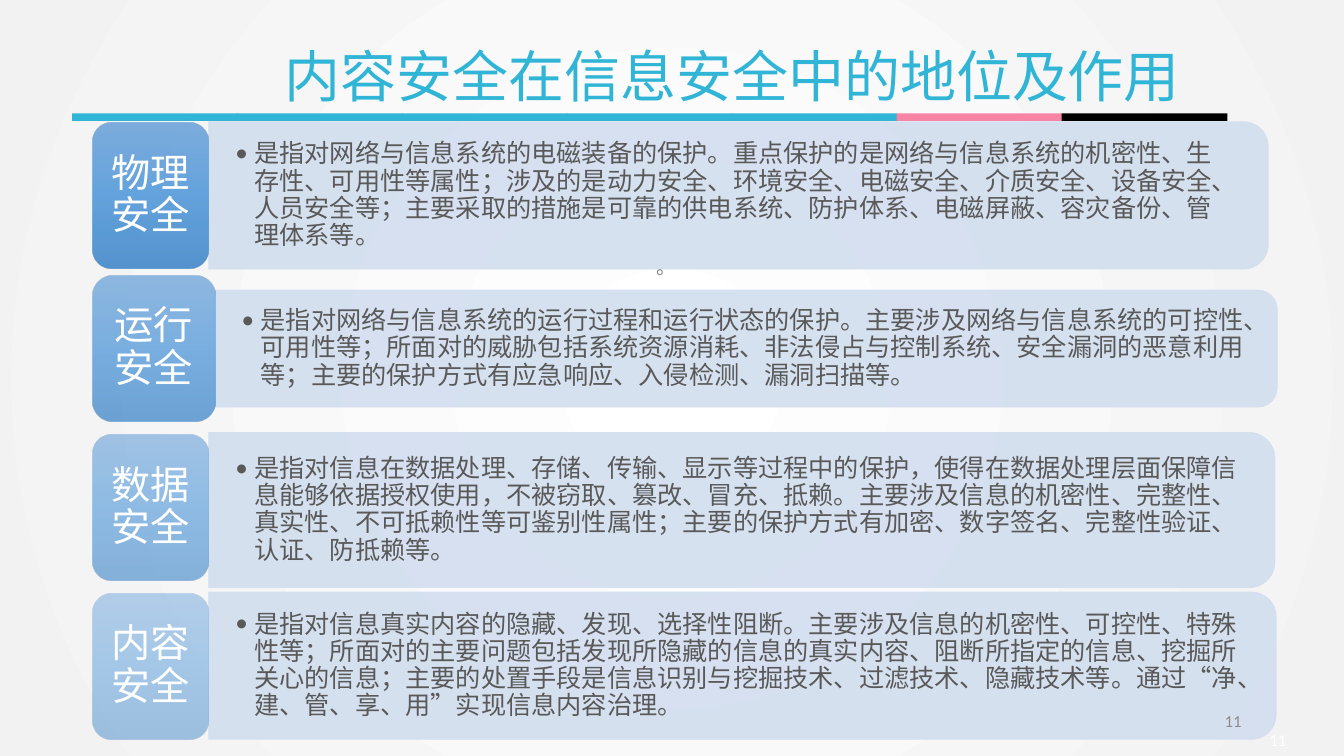
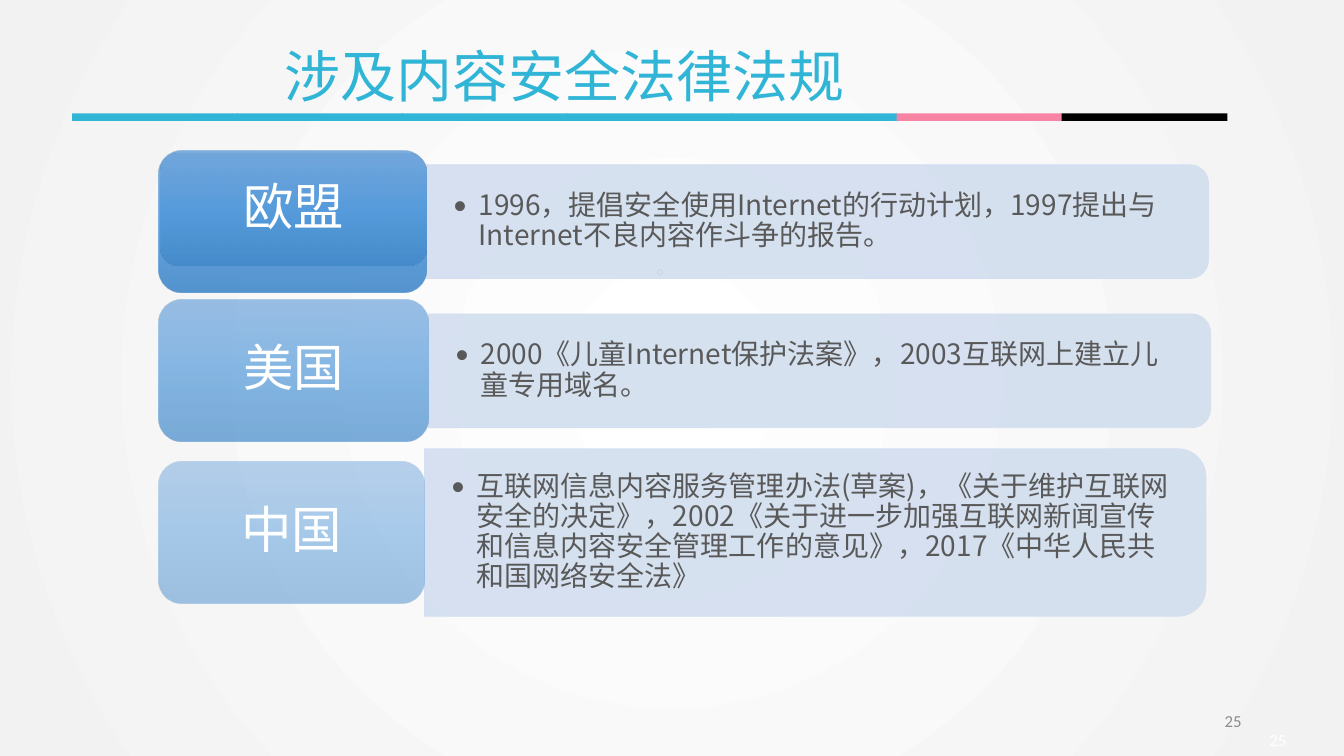
from lxml import etree
from pptx import Presentation
from pptx import oxml
from pptx.dml.color import RGBColor
from pptx.enum import shapes, text
from pptx.oxml import ns
from pptx.util import Cm, Pt

CJK_FONT, NUMBER_FONT = "Noto Sans CJK SC", "Calibri"
TEAL, PINK, BLACK, WHITE = "31B5D6", "F784A5", "000000", "FFFFFF"
PANEL, BODY_TEXT, NUMBER_TEXT = "D2DEEF", "595959", "8C8C8C"
NOTE_TEXT, FAINT_NOTE_TEXT = "7F7F7F", "CAD5E4"
LABEL_GRADIENT = ["71A6DB", "559BDB", "448ACA"]
BACKGROUND_GRADIENT = [WHITE, "F2F2F2"]
BAR_COLOURS = [TEAL] * 5 + [PINK, BLACK]

# Each row: label, label top and width, panel top, width and height (cm), text
SECURITY_ROWS = [
    ("物理安全", 3.09, 2.92, 3.07, 26.7, 3.71,
     "是指对网络与信息系统的电磁装备的保护。重点保护的是网络与信息系统的机密性、生存性、可用性等属性；"
     "涉及的是动力安全、环境安全、电磁安全、介质安全、设备安全、人员安全等；"
     "主要采取的措施是可靠的供电系统、防护体系、电磁屏蔽、容灾备份、管理体系等。"),
    ("运行安全", 6.94, 3.08, 7.31, 26.77, 2.95,
     "是指对网络与信息系统的运行过程和运行状态的保护。主要涉及网络与信息系统的可控性、可用性等；"
     "所面对的威胁包括系统资源消耗、非法侵占与控制系统、安全漏洞的恶意利用等；"
     "主要的保护方式有应急响应、入侵检测、漏洞扫描等。"),
    ("数据安全", 10.95, 2.92, 10.9, 26.87, 3.91,
     "是指对信息在数据处理、存储、传输、显示等过程中的保护，使得在数据处理层面保障信息能够依据授权使用，"
     "不被窃取、篡改、冒充、抵赖。主要涉及信息的机密性、完整性、真实性、不可抵赖性等可鉴别性属性；"
     "主要的保护方式有加密、数字签名、完整性验证、认证、防抵赖等。"),
    ("内容安全", 14.95, 2.92, 14.92, 26.9, 3.71,
     "是指对信息真实内容的隐藏、发现、选择性阻断。主要涉及信息的机密性、可控性、特殊性等；"
     "所面对的主要问题包括发现所隐藏的信息的真实内容、阻断所指定的信息、挖掘所关心的信息；"
     "主要的处置手段是信息识别与挖掘技术、过滤技术、隐藏技术等。"
     "通过“净、建、管、享、用”实现信息内容治理。"),
]
LAW_ROWS = [
    ("", 3.79, 6.76, 4.15, 19.71, 2.87,
     "1996，提倡安全使用Internet的行动计划，1997提出与Internet不良内容作斗争的报告。"),
    ("美国", 7.55, 6.81, 7.91, 19.71, 2.87,
     "2000《儿童Internet保护法案》，2003互联网上建立儿童专用域名。"),
    ("中国", 11.63, 6.71, 11.31, 19.69, 4.22,
     "互联网信息内容服务管理办法(草案)，《关于维护互联网安全的决定》，"
     "2002《关于进一步加强互联网新闻宣传和信息内容安全管理工作的意见》，"
     "2017《中华人民共和国网络安全法》"),
]


def colour(value):
    return RGBColor.from_string(value)


def gradient(colours, direction, alpha=100):
    """Return a gradFill element with evenly spaced stops."""
    last = len(colours) - 1
    stops = "".join(
        f'<a:gs pos="{100000 * index // last}"><a:srgbClr val="{value}">'
        f'<a:alpha val="{round(alpha * 1000)}"/></a:srgbClr></a:gs>'
        for index, value in enumerate(colours))
    return oxml.parse_xml(f'<a:gradFill {ns.nsdecls("a")} rotWithShape="1">'
                          f'<a:gsLst>{stops}</a:gsLst>{direction}</a:gradFill>')


def set_background(layout):
    layout.background.fill.solid()
    properties = layout.element.find(".//" + ns.qn("p:bgPr"))
    centre = ('<a:path path="circle"><a:fillToRect l="50000" t="50000" '
              'r="50000" b="50000"/></a:path>')
    properties.replace(properties[0], gradient(BACKGROUND_GRADIENT, centre))


def write(shape, words, size, ink, font=CJK_FONT, align=text.PP_ALIGN.LEFT,
          anchor=text.MSO_ANCHOR.MIDDLE, margins=(0.25, 0.13), spacing=None,
          bullet=0, wrap=True):
    """Fill a shape with one paragraph; bullet is its hanging indent in cm."""
    frame = shape.text_frame
    frame.word_wrap = wrap
    frame.vertical_anchor = anchor
    frame.margin_left = frame.margin_right = Cm(margins[0])
    frame.margin_top = frame.margin_bottom = Cm(margins[1])
    paragraph = frame.paragraphs[0]
    paragraph.alignment = align
    if spacing:
        paragraph.line_spacing = spacing
    if bullet:
        properties = paragraph._p.get_or_add_pPr()
        properties.set("marL", str(Cm(bullet)))
        properties.set("indent", str(-Cm(bullet)))
        etree.SubElement(properties, ns.qn("a:buFont")).set("typeface", NUMBER_FONT)
        etree.SubElement(properties, ns.qn("a:buChar")).set("char", "•")
    run = paragraph.add_run()
    run.text = words
    run.font.size = Pt(size)
    run.font.name = font
    run.font.color.rgb = colour(ink)
    properties = run._r.get_or_add_rPr()
    properties.set("lang", "zh-CN")
    etree.SubElement(properties, ns.qn("a:ea")).set("typeface", font)


def add_text(slide, box, words, size, ink, **style):
    write(slide.shapes.add_textbox(*map(Cm, box)), words, size, ink, **style)


def add_box(slide, kind, box, fill=None):
    shape = slide.shapes.add_shape(kind, *map(Cm, box))
    shape.shadow.inherit = False
    shape.line.fill.background()
    if fill:
        shape.fill.solid()
        shape.fill.fore_color.rgb = colour(fill)
    return shape


def add_header(slide, title):
    """Place the title and the colour bar, whose cells overlap slightly."""
    pitch = 29.09 / len(BAR_COLOURS)
    for index, fill in enumerate(BAR_COLOURS):
        add_box(slide, shapes.MSO_SHAPE.RECTANGLE,
                (1.82 + index * pitch, 2.86, pitch + 0.02, 0.19), fill)
    add_text(slide, (6.93, 0.91, 1.43 * len(title) + 0.45, 1.95), title, 40, TEAL,
             anchor=text.MSO_ANCHOR.TOP, wrap=False)


def add_footer(slide, number, note_ink):
    """Place the note mark and both page numbers."""
    add_text(slide, (16.3, 6.36, 13.03, 10.77), "。", 14, note_ink,
             anchor=text.MSO_ANCHOR.TOP, spacing=0.9)
    for left, top, height, ink in ((23.92, 17.65, 1.02, NUMBER_TEXT),
                                   (25.05, 18.25, 0.8, WHITE)):
        add_text(slide, (left, top, 7.62, height), number, 12, ink,
                 font=NUMBER_FONT, align=text.PP_ALIGN.RIGHT)


def add_label(slide, box, words, size, alpha):
    label = add_box(slide, shapes.MSO_SHAPE.ROUNDED_RECTANGLE, box)
    label.element.spPr.insert(
        2, gradient(LABEL_GRADIENT, '<a:lin ang="5400000" scaled="0"/>', alpha))
    if words:
        write(label, words, size, WHITE, align=text.PP_ALIGN.CENTER,
              margins=(0.25, 0.15), spacing=0.9)


def add_panel(slide, box, words, size, indent):
    """Place a panel rounded on its right side, with bulleted text over it."""
    left, top, width, height = box
    turned = (left + (width - height) / 2, top + (height - width) / 2, height, width)
    panel = add_box(slide, shapes.MSO_SHAPE.ROUND_2_SAME_RECTANGLE, turned, PANEL)
    panel.rotation = 90
    panel.line.color.rgb = colour(PANEL)
    panel.line.width = Pt(0.5)
    for value in panel.element.spPr.iter(ns.qn("a:srgbClr")):
        etree.SubElement(value, ns.qn("a:alpha")).set("val", "90000")
    inset = 0.05 * height
    add_text(slide, (left, top + inset, width - inset + 0.05, height - 2 * inset),
             words, size, BODY_TEXT, margins=(0.67, 0.36), spacing=0.9, bullet=indent)


def add_rows(slide, rows, left, label_height, label_size, body_size, indent):
    """Stack label and panel pairs whose labels fade from row to row."""
    for index, row in enumerate(rows):
        label, label_top, label_width, panel_top, width, height, words = row
        add_panel(slide, (left + label_width, panel_top, width, height),
                  words, body_size, indent)
        add_label(slide, (left, label_top, label_width, label_height), label,
                  label_size, 90 - 40 * index / (len(rows) - 1))


def build_security_slide(slide):
    add_header(slide, "内容安全在信息安全中的地位及作用")
    add_rows(slide, SECURITY_ROWS, 2.34, 3.68, label_size=28, body_size=18, indent=0.48)
    add_footer(slide, "11", NOTE_TEXT)


def build_law_slide(slide):
    add_header(slide, "涉及内容安全法律法规")
    add_rows(slide, LAW_ROWS, 3.99, 3.58, label_size=36, body_size=20, indent=0.64)
    add_label(slide, (4.06, 3.87, 6.69, 2.82), "欧盟", 36, 90)
    add_footer(slide, "25", FAINT_NOTE_TEXT)


def main():
    presentation = Presentation()
    presentation.slide_width, presentation.slide_height = Cm(33.87), Cm(19.05)
    blank = presentation.slide_layouts[6]
    set_background(blank)
    for build in (build_security_slide, build_law_slide):
        build(presentation.slides.add_slide(blank))
    presentation.save("out.pptx")


if __name__ == "__main__":
    main()
